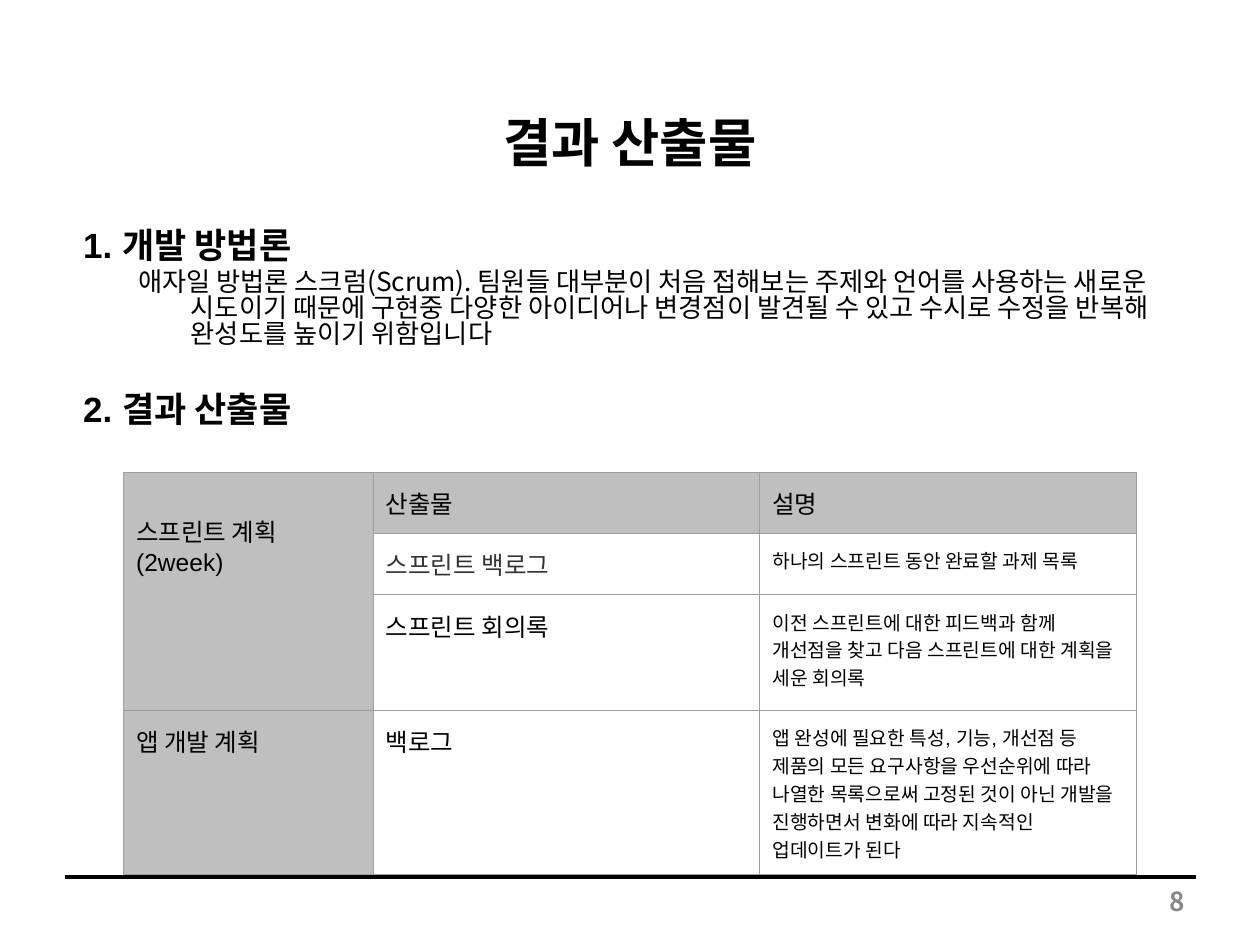
"""Build the deliverables slide: methodology text above a table of outputs."""
from dataclasses import dataclass
from typing import Optional

from lxml.etree import SubElement
from pptx import Presentation
from pptx.dml.color import RGBColor as Rgb
from pptx.enum.text import MSO_ANCHOR as Anchor, PP_ALIGN as Align
from pptx.oxml import parse_xml
from pptx.oxml.ns import nsdecls, qn
from pptx.util import Pt


@dataclass(frozen=True)
class Theme:
    latin: str = "Arial"
    korean: str = "Noto Sans CJK KR"
    ink: str = "000000"
    soft_ink: str = "333333"
    muted: str = "888888"
    header: str = "BFBFBF"
    border: str = "9E9E9E"
    title: float = 30
    heading: float = 20
    body: float = 15
    cell: float = 14
    note: float = 11
    rule: float = 2.25
    grid: float = 0.75
    leading: float = 0.83


THEME = Theme()


@dataclass(frozen=True)
class Style:
    size: float
    font: str = THEME.latin
    color: str = THEME.ink
    bold: bool = False
    align: Align = Align.LEFT


@dataclass(frozen=True)
class Line:
    text: str
    style: Style
    left: float = 0
    hanging: float = 0
    before: float = 0
    leading: Optional[float] = None


@dataclass(frozen=True)
class Box:
    left: float
    top: float
    width: float
    height: float
    lines: tuple[Line, ...]
    anchor: Anchor = Anchor.TOP


@dataclass(frozen=True)
class Entry:
    row: int
    column: int
    text: str
    style: Style
    shaded: bool = False
    top_margin: float = 7.2


HEADING = Style(THEME.heading, bold=True)
BODY = Style(THEME.body, THEME.korean)
CELL = Style(THEME.cell)
NOTE = Style(THEME.note)


def heading(text: str, before: float = 0) -> Line:
    """Return a numbered section heading."""
    return Line(text, HEADING, 34.5, 30, before, THEME.leading)


BOXES = (
    Box(36, 50.4, 648, 61.2, (
        Line("결과 산출물", Style(THEME.title, bold=True, align=Align.CENTER)),
    ), Anchor.MIDDLE),
    Box(36, 128.2, 648, 356.4, (
        heading("1. 개발 방법론"),
        Line("애자일 방법론 스크럼(Scrum). 팀원들 대부분이 처음 접해보는 주제와 언어를 "
             "사용하는 새로운 시도이기 때문에 구현중 다양한 아이디어나 변경점이 발견될 수 있고 "
             "수시로 수정을 반복해 완성도를 높이기 위함입니다",
             BODY, 66, 30, 3, THEME.leading),
        heading("2. 결과 산출물", 26),
    )),
)
PAGE_NUMBER = Box(516.2, 500.4, 167.8, 28.8, (
    Line("8", Style(THEME.body, THEME.korean, THEME.muted, True, Align.RIGHT)),
), Anchor.MIDDLE)

COLUMNS = (142.6, 221, 215.3)
ROWS = (35, 35, 66, 94)
ENTRIES = (
    Entry(0, 0, "스프린트 계획(2week)", CELL, True, 23.2),
    Entry(0, 1, "산출물", CELL, True),
    Entry(0, 2, "설명", CELL, True),
    Entry(1, 1, "스프린트 백로그", Style(THEME.cell, THEME.korean, THEME.soft_ink)),
    Entry(1, 2, "하나의 스프린트 동안 완료할 과제 목록", NOTE),
    Entry(2, 1, "스프린트 회의록", CELL),
    Entry(2, 2, "이전 스프린트에 대한 피드백과 함께 개선점을 찾고 다음 스프린트에 대한 "
                "계획을 세운 회의록", NOTE),
    Entry(3, 0, "앱 개발 계획", CELL, True),
    Entry(3, 1, "백로그", CELL),
    Entry(3, 2, "앱 완성에 필요한 특성, 기능, 개선점 등 제품의 모든 요구사항을 우선순위에 "
                "따라 나열한 목록으로써 고정된 것이 아닌 개발을 진행하면서 변화에 따라 "
                "지속적인 업데이트가 된다", NOTE),
)


def write(para, text: str, style: Style) -> None:
    """Fill a paragraph with text in one style."""
    para.text = text
    para.alignment = style.align
    font = para.font
    font.size, font.bold, font.name = Pt(style.size), style.bold, style.font
    font.color.rgb = Rgb.from_string(style.color)
    defaults = para._p.get_or_add_pPr().find(qn("a:defRPr"))
    SubElement(defaults, qn("a:ea")).set("typeface", THEME.korean)


def draw_box(page, box: Box) -> None:
    """Draw a text box with its lines."""
    frame = page.shapes.add_textbox(
        Pt(box.left), Pt(box.top), Pt(box.width), Pt(box.height)).text_frame
    frame.word_wrap = True
    frame.vertical_anchor = box.anchor
    for index, line in enumerate(box.lines):
        para = frame.add_paragraph() if index else frame.paragraphs[0]
        write(para, line.text, line.style)
        para.space_before = Pt(line.before)
        para.line_spacing = line.leading
        properties = para._p.get_or_add_pPr()
        properties.set("marL", str(Pt(line.left)))
        properties.set("indent", str(-Pt(line.hanging)))


def draw_rule(page, left: float, right: float, top: float) -> None:
    """Draw the horizontal footer rule."""
    rule = page.shapes.add_connector(1, Pt(left), Pt(top), Pt(right), Pt(top))
    rule.line.color.rgb = Rgb.from_string(THEME.ink)
    rule.line.width = Pt(THEME.rule)
    SubElement(rule._element.spPr, qn("a:effectLst"))


def add_borders(cell) -> None:
    """Give a cell a thin border on every side."""
    for index, side in enumerate("LRTB"):
        cell._tc.get_or_add_tcPr().insert(index, parse_xml(
            f'<a:ln{side} {nsdecls("a")} w="{Pt(THEME.grid)}"><a:solidFill>'
            f'<a:srgbClr val="{THEME.border}"/></a:solidFill></a:ln{side}>'))


def draw_table(page, left: float, top: float) -> None:
    """Draw the table of outputs."""
    table = page.shapes.add_table(
        len(ROWS), len(COLUMNS), Pt(left), Pt(top),
        Pt(sum(COLUMNS)), Pt(sum(ROWS))).table
    table.first_row = table.horz_banding = False
    for column, width in zip(table.columns, COLUMNS):
        column.width = Pt(width)
    for row, height in zip(table.rows, ROWS):
        row.height = Pt(height)
    table.cell(0, 0).merge(table.cell(2, 0))
    for cell in table.iter_cells():
        cell.fill.background()
        add_borders(cell)
    for entry in ENTRIES:
        cell = table.cell(entry.row, entry.column)
        cell.margin_left = cell.margin_right = cell.margin_bottom = Pt(7.2)
        cell.margin_top = Pt(entry.top_margin)
        if entry.shaded:
            cell.fill.solid()
            cell.fill.fore_color.rgb = Rgb.from_string(THEME.header)
        write(cell.text_frame.paragraphs[0], entry.text, entry.style)


def main() -> None:
    """Build and save the deck."""
    deck = Presentation()
    deck.slide_width, deck.slide_height = Pt(720), Pt(540)
    page = deck.slides.add_slide(deck.slide_layouts[6])
    draw_rule(page, 37.4, 683.3, 501.1)
    for box in BOXES:
        draw_box(page, box)
    draw_table(page, 70.6, 270)
    draw_box(page, PAGE_NUMBER)
    deck.save("out.pptx")


if __name__ == "__main__":
    main()
